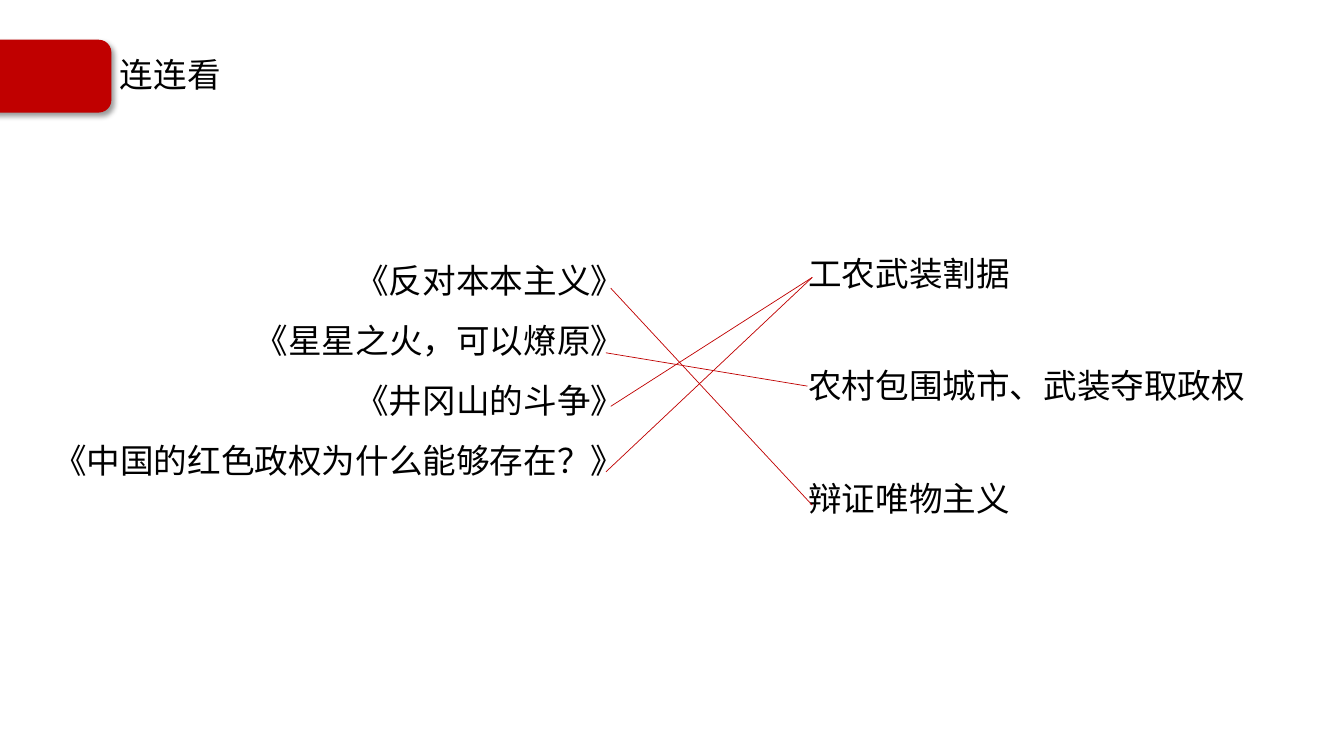
from dataclasses import dataclass

from lxml.etree import SubElement
from pptx import Presentation
from pptx.dml.color import RGBColor
from pptx.enum.shapes import MSO_CONNECTOR, MSO_SHAPE
from pptx.enum.text import MSO_ANCHOR, MSO_AUTO_SIZE, PP_ALIGN
from pptx.oxml.ns import qn
from pptx.util import Cm, Pt


@dataclass(frozen=True)
class Theme:
    red: RGBColor = RGBColor(0xC0, 0x00, 0x00)
    black: RGBColor = RGBColor(0x00, 0x00, 0x00)
    title_font: str = "Noto Sans CJK JP"
    body_font: str = "Noto Sans CJK SC"
    text_size: Pt = Pt(24)
    line_height: Pt = Pt(43)
    badge_line: Pt = Pt(1)
    match_line: Pt = Pt(0.5)


class SlideBuilder:
    def __init__(self, page, theme):
        self.page = page
        self.theme = theme

    def add_span(self, para, text, font_name):
        span = para.add_run()
        span.text = text
        span.font.size = self.theme.text_size
        span.font.name = font_name
        span.font.color.rgb = self.theme.black
        properties = span.font._element
        SubElement(properties, qn("a:ea"), typeface=font_name)

    def title(self, text, left, top, width, height):
        box = self.page.shapes.title
        box.left, box.top, box.width, box.height = map(Cm, (left, top, width, height))
        frame = box.text_frame
        frame.word_wrap = True
        frame.auto_size = MSO_AUTO_SIZE.NONE
        frame.vertical_anchor = MSO_ANCHOR.MIDDLE
        para = frame.paragraphs[0]
        para.alignment = PP_ALIGN.LEFT
        para.line_spacing = 0.9
        self.add_span(para, text, self.theme.title_font)

    def badge(self, left, top, width, height):
        box = self.page.shapes.add_shape(
            MSO_SHAPE.ROUNDED_RECTANGLE, *map(Cm, (left, top, width, height)))
        box.fill.solid()
        box.fill.fore_color.rgb = self.theme.red
        box.line.color.rgb = self.theme.red
        box.line.width = self.theme.badge_line
        # Soft shadow to the lower right
        box.shadow.inherit = False
        effects = box._element.spPr.find(qn("a:effectLst"))
        shadow = SubElement(effects, qn("a:outerShdw"), blurRad=str(Pt(4)),
                            dist=str(Pt(3)), dir="2700000", algn="tl", rotWithShape="0")
        color = SubElement(shadow, qn("a:srgbClr"), val="000000")
        SubElement(color, qn("a:alpha"), val="40000")

    def column(self, lines, left, top, width, height, inset, alignment, gap=0):
        box = self.page.shapes.add_textbox(*map(Cm, (left, top, width, height)))
        frame = box.text_frame
        frame.word_wrap = True
        frame.margin_top = Cm(inset)
        for index, text in enumerate(lines):
            para = frame.add_paragraph() if index else frame.paragraphs[0]
            para.alignment = alignment
            para.line_spacing = self.theme.line_height
            para.space_after = Pt(gap)
            self.add_span(para, text, self.theme.body_font)

    def match(self, start, end):
        line = self.page.shapes.add_connector(
            MSO_CONNECTOR.STRAIGHT, *map(Cm, (*start, *end)))
        line.line.color.rgb = self.theme.red
        line.line.width = self.theme.match_line
        SubElement(line._element.spPr, qn("a:effectLst"))


deck = Presentation()
deck.slide_width, deck.slide_height = Cm(33.87), Cm(19.05)
title_only = deck.slide_layouts[5]
builder = SlideBuilder(deck.slides.add_slide(title_only), Theme())

# Heading
builder.badge(-0.46, 1.02, 3.25, 1.8)
builder.title("连连看", 2.77, 1.04, 29.21, 1.8)

# Works on the left, ideas on the right
works = ["《反对本本主义》", "《星星之火，可以燎原》", "《井冈山的斗争》",
         "《中国的红色政权为什么能够存在？》"]
ideas = ["工农武装割据", "农村包围城市、武装夺取政权", "辩证唯物主义"]
builder.column(works, 0.74, 3.73, 15.24, 13.84, 2.31, PP_ALIGN.RIGHT)
builder.column(ideas, 20.12, 3.73, 13.74, 10.34, 2.13, PP_ALIGN.LEFT, gap=37.4)

# Lines joining each work to its idea
armed_regime, encircle_cities, dialectics = (20.47, 6.99), (20.35, 9.73), (20.47, 12.73)
matches = [
    ((15.39, 7.26), dialectics),
    ((15.27, 8.89), encircle_cities),
    ((15.39, 10.24), armed_regime),
    ((15.27, 11.89), armed_regime),
]
for work_end, idea_end in matches:
    builder.match(work_end, idea_end)

deck.save("out.pptx")
